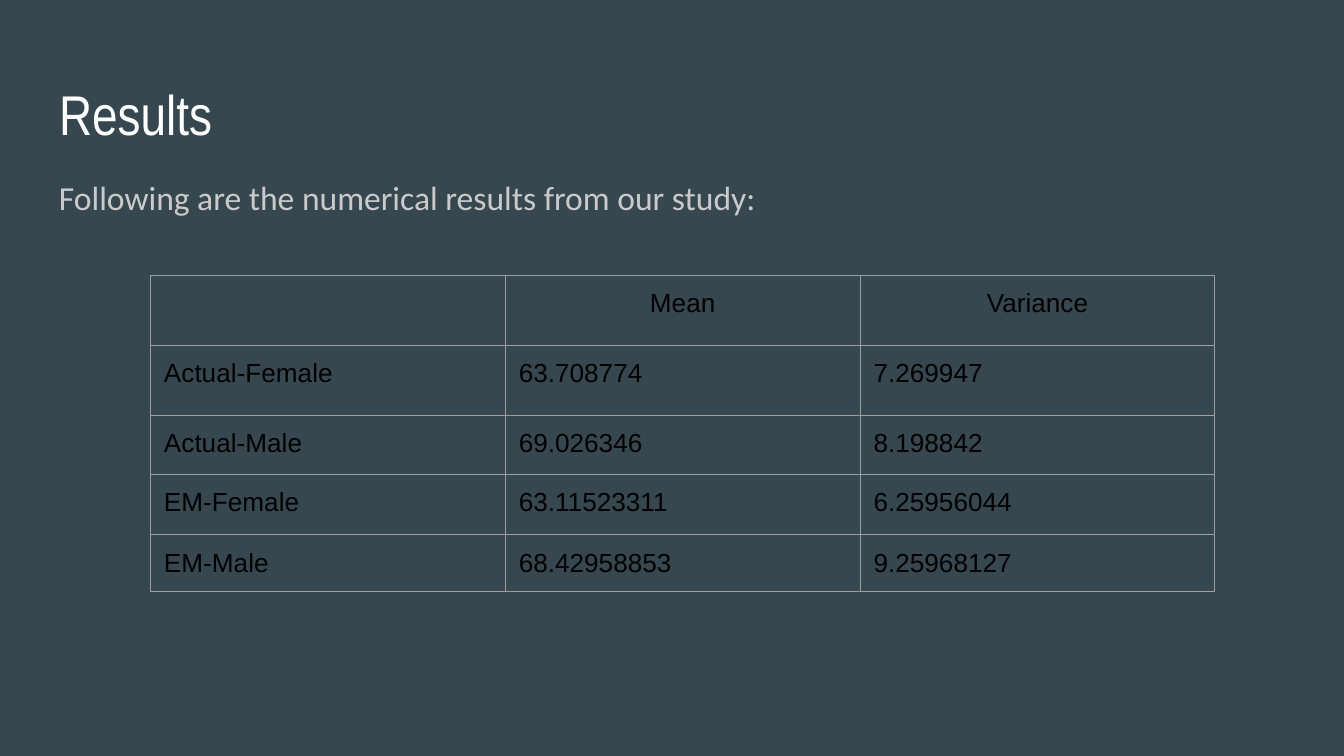
from lxml import etree
from pptx import Presentation
from pptx.dml.color import RGBColor
from pptx.enum.text import MSO_ANCHOR, MSO_AUTO_SIZE, PP_ALIGN
from pptx.oxml.ns import qn
from pptx.util import Inches, Pt

TITLE = "Results"
INTRO = "Following are the numerical results from our study:"
TABLES = [
    {
        "top": 2.05,
        "row_heights": [0.52, 0.52, 0.44],
        "has_header": True,
        "rows": [
            ["", "Mean", "Variance"],
            ["Actual-Female", "63.708774", "7.269947"],
            ["Actual-Male", "69.026346", "8.198842"],
        ],
    },
    {
        "top": 3.53,
        "row_heights": [0.45, 0.36],
        "has_header": False,
        "rows": [
            ["EM-Female", "63.11523311", "6.25956044"],
            ["EM-Male", "68.42958853", "9.25968127"],
        ],
    },
]
THEME = {
    "background": "37474F",
    "border": "9E9E9E",
    "border_width": 0.75,
    "title": ("Arial Narrow", 30, "FFFFFF"),
    "intro": ("Calibri", 18, "CACACA"),
    "cell": ("Arial", 14, "000000"),
}
SLIDE_WIDTH = 10
SLIDE_HEIGHT = SLIDE_WIDTH * 9 / 16
TEXT_LEFT, TEXT_WIDTH = 0.34, 9.32
TABLE_LEFT, COLUMN_WIDTH = 1.12, 2.64
INSET = Inches(0.1)


def format_paragraph(paragraph, style, alignment=PP_ALIGN.LEFT):
    paragraph.alignment = alignment
    name, size, color = THEME[style]
    for run in paragraph.runs:
        run.font.name = name
        run.font.size = Pt(size)
        run.font.color.rgb = RGBColor.from_string(color)


def set_insets(target):
    """Give a cell or text frame the same margin on all sides."""
    target.margin_left = target.margin_right = INSET
    target.margin_top = target.margin_bottom = INSET


def fill_text_shape(shape, text, style, top, height):
    shape.left, shape.top = Inches(TEXT_LEFT), Inches(top)
    shape.width, shape.height = Inches(TEXT_WIDTH), Inches(height)
    frame = shape.text_frame
    frame.text = text
    frame.word_wrap = True
    frame.auto_size = MSO_AUTO_SIZE.NONE
    frame.vertical_anchor = MSO_ANCHOR.TOP
    set_insets(frame)
    format_paragraph(frame.paragraphs[0], style)


def add_borders(cell):
    properties = cell._tc.get_or_add_tcPr()
    for index, side in enumerate(("lnL", "lnR", "lnT", "lnB")):
        line = etree.Element(qn(f"a:{side}"), w=str(Pt(THEME["border_width"])))
        fill = etree.SubElement(line, qn("a:solidFill"))
        etree.SubElement(fill, qn("a:srgbClr"), val=THEME["border"])
        properties.insert(index, line)


def add_results_table(slide, top, row_heights, has_header, rows):
    column_count = len(rows[0])
    table = slide.shapes.add_table(
        len(rows), column_count, Inches(TABLE_LEFT), Inches(top),
        Inches(COLUMN_WIDTH * column_count), Inches(sum(row_heights)),
    ).table
    table.first_row = has_header
    table.horz_banding = False
    for column in table.columns:
        column.width = Inches(COLUMN_WIDTH)
    for row_index, (values, height) in enumerate(zip(rows, row_heights)):
        table.rows[row_index].height = Inches(height)
        is_header = has_header and row_index == 0
        alignment = PP_ALIGN.CENTER if is_header else PP_ALIGN.LEFT
        for column_index, value in enumerate(values):
            cell = table.cell(row_index, column_index)
            cell.text = value
            cell.fill.background()
            set_insets(cell)
            add_borders(cell)
            paragraph = cell.text_frame.paragraphs[0]
            format_paragraph(paragraph, "cell", alignment)
            for run in paragraph.runs:
                run.font.bold = False


def main():
    presentation = Presentation()
    presentation.slide_width = Inches(SLIDE_WIDTH)
    presentation.slide_height = Inches(SLIDE_HEIGHT)
    slide = presentation.slides.add_slide(presentation.slide_layouts[5])
    background = slide.background.fill
    background.solid()
    background.fore_color.rgb = RGBColor.from_string(THEME["background"])

    fill_text_shape(slide.shapes.title, TITLE, "title", 0.49, 0.63)
    intro = slide.shapes.add_textbox(0, 0, 0, 0)
    fill_text_shape(intro, INTRO, "intro", 1.22, 3.74)
    for table in TABLES:
        add_results_table(slide, **table)
    presentation.save("out.pptx")


if __name__ == "__main__":
    main()
